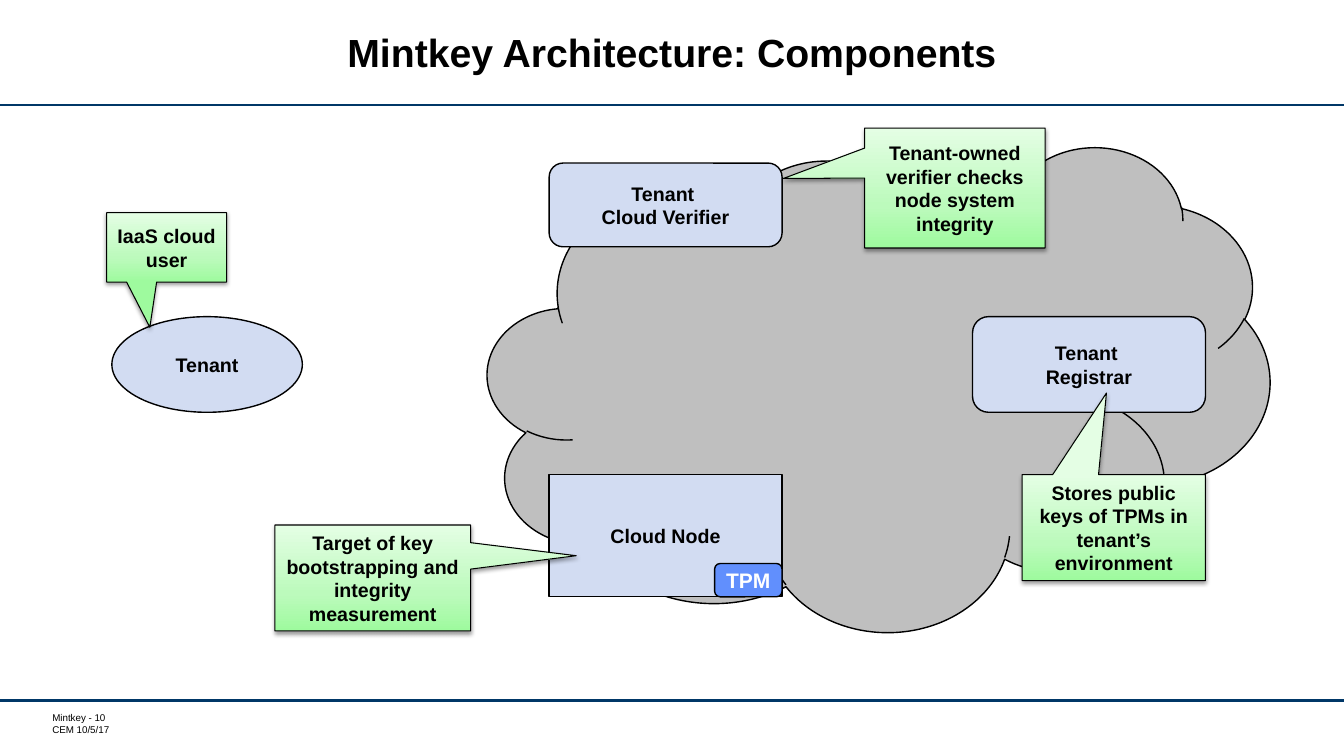
from dataclasses import dataclass

import lxml.etree
import pptx
import pptx.dml.color
import pptx.enum.shapes
import pptx.enum.text
import pptx.oxml
import pptx.oxml.ns
import pptx.shapes.autoshape
import pptx.slide
import pptx.text.text
import pptx.util
from copy import deepcopy
from pptx.util import Cm, Pt

SHAPE = pptx.enum.shapes.MSO_SHAPE
ALIGN = pptx.enum.text.PP_ALIGN
ANCHOR = pptx.enum.text.MSO_ANCHOR
FONT = "Arial"
COLORS = {
    "black": "000000",
    "white": "FFFFFF",
    "rule": "003767",
    "cloud": "BFBFBF",
    "component": "D2DCF2",
    "tpm": "618FFD",
}
CALLOUT_GRADIENT = ((0, "9EFA9E"), (0.35, "BCFABC"), (1, "E4FEE4"))
SLIDE_WIDTH, SLIDE_HEIGHT = 33.87, 19.05


@dataclass
class Component:
    kind: pptx.enum.shapes.MSO_SHAPE
    left: float
    top: float
    width: float
    height: float
    text: str = ""
    fill: str = "component"
    font_color: str = "black"
    font_size: float = 14
    side_inset: float = 0.25


@dataclass
class Callout:
    left: float
    top: float
    width: float
    height: float
    tip: tuple[float, float]
    text: str


COMPONENTS = [
    Component(SHAPE.CLOUD, 12.29, 3.68, 19.71, 12.22, fill="cloud"),
    Component(SHAPE.ROUNDED_RECTANGLE, 13.84, 4.11, 5.87, 2.11, "Tenant \vCloud Verifier"),
    Component(SHAPE.OVAL, 2.82, 7.98, 4.8, 2.41, "Tenant"),
    Component(SHAPE.ROUNDED_RECTANGLE, 24.51, 7.98, 5.87, 2.41, "Tenant \vRegistrar"),
    Component(SHAPE.RECTANGLE, 13.84, 11.96, 5.87, 3.07, "Cloud Node"),
    Component(SHAPE.ROUNDED_RECTANGLE, 18.01, 14.2, 1.7, 0.84, "TPM", "tpm", "white", 15, 0),
]
CALLOUTS = [
    Callout(25.76, 11.96, 4.62, 2.67, (-0.04, -1.27),
            "Stores public keys of TPMs in tenant’s environment"),
    Callout(6.93, 13.23, 4.93, 2.67, (1.04, -0.21),
            "Target of key bootstrapping and integrity measurement"),
    Callout(2.69, 5.36, 3.02, 1.75, (-0.14, 1.15), "IaaS cloud user"),
    Callout(21.79, 3.23, 4.55, 3.02, (-0.95, -0.08),
            "Tenant-owned verifier checks node system integrity"),
]


def rgb(name: str) -> pptx.dml.color.RGBColor:
    return pptx.dml.color.RGBColor.from_string(COLORS[name])


def write_text(frame: pptx.text.text.TextFrame, text: str, size: float, bold: bool = True,
               color: str = "black", align: pptx.enum.text.PP_ALIGN = ALIGN.CENTER) -> None:
    frame.text = text
    frame.word_wrap = True
    frame.auto_size = pptx.enum.text.MSO_AUTO_SIZE.NONE
    for paragraph in frame.paragraphs:
        paragraph.alignment = align
        for run in paragraph.runs:
            run.font.name = FONT
            run.font.size = Pt(size)
            run.font.bold = bold
            run.font.color.rgb = rgb(color)


def add_outlined_shape(slide: pptx.slide.Slide, kind: pptx.enum.shapes.MSO_SHAPE,
                       item: Component | Callout,
                       line_width: float) -> pptx.shapes.autoshape.Shape:
    shape = slide.shapes.add_shape(
        kind, Cm(item.left), Cm(item.top), Cm(item.width), Cm(item.height))
    shape.shadow.inherit = False
    shape.line.color.rgb = rgb("black")
    shape.line.width = Pt(line_width)
    shape.text_frame.vertical_anchor = ANCHOR.MIDDLE
    return shape


def add_component(slide: pptx.slide.Slide, component: Component) -> None:
    shape = add_outlined_shape(slide, component.kind, component, 1)
    shape.fill.solid()
    shape.fill.fore_color.rgb = rgb(component.fill)
    if component.text:
        frame = shape.text_frame
        frame.margin_left = frame.margin_right = Cm(component.side_inset)
        write_text(frame, component.text, component.font_size, color=component.font_color)


def fill_with_gradient(shape: pptx.shapes.autoshape.Shape) -> None:
    shape.fill.gradient()
    shape.fill.gradient_angle = 90
    stop_list = shape._element.spPr.find(".//" + pptx.oxml.ns.qn("a:gsLst"))
    stop_list.insert(1, deepcopy(stop_list[0]))
    for stop, (position, color) in zip(shape.fill.gradient_stops, CALLOUT_GRADIENT):
        stop.position = position
        stop.color.rgb = pptx.dml.color.RGBColor.from_string(color)


def add_drop_shadow(shape: pptx.shapes.autoshape.Shape) -> None:
    qn = pptx.oxml.ns.qn
    effects = shape._element.spPr.find(qn("a:effectLst"))
    shadow = lxml.etree.SubElement(effects, qn("a:outerShdw"), blurRad="40000",
                                   dist="20000", dir="5400000", rotWithShape="0")
    color = lxml.etree.SubElement(shadow, qn("a:srgbClr"), val=COLORS["black"])
    lxml.etree.SubElement(color, qn("a:alpha"), val="38000")


def add_callout(slide: pptx.slide.Slide, callout: Callout) -> None:
    shape = add_outlined_shape(slide, SHAPE.RECTANGULAR_CALLOUT, callout, 0.75)
    shape.adjustments[0], shape.adjustments[1] = callout.tip
    fill_with_gradient(shape)
    add_drop_shadow(shape)
    write_text(shape.text_frame, callout.text, 14)


def add_rule(slide: pptx.slide.Slide, top: float) -> None:
    """Draw a line across the full slide width."""
    rule = slide.shapes.add_connector(
        pptx.enum.shapes.MSO_CONNECTOR.STRAIGHT, 0, Cm(top), Cm(SLIDE_WIDTH), Cm(top))
    rule.line.color.rgb = rgb("rule")
    rule.line.width = Pt(1.75)
    lxml.etree.SubElement(rule._element.spPr, pptx.oxml.ns.qn("a:effectLst"))


def add_title(slide: pptx.slide.Slide, text: str) -> None:
    title = slide.shapes.title
    title.left, title.top, title.width, title.height = Cm(3.48), Cm(0.28), Cm(26.9), Cm(2.26)
    title.text_frame.vertical_anchor = ANCHOR.MIDDLE
    write_text(title.text_frame, text, 28)
    title.text_frame.paragraphs[0].line_spacing = Pt(28)


def add_footer(slide: pptx.slide.Slide, text: str) -> None:
    frame = slide.shapes.add_textbox(Cm(1.19), Cm(17.93), Cm(4.04), Cm(0.61)).text_frame
    frame.margin_left = Cm(0.13)
    frame.margin_top = frame.margin_right = frame.margin_bottom = 0
    write_text(frame, text, 7, bold=False, align=ALIGN.LEFT)


def main() -> None:
    presentation = pptx.Presentation()
    presentation.slide_width = Cm(SLIDE_WIDTH)
    presentation.slide_height = Cm(SLIDE_HEIGHT)
    slide = presentation.slides.add_slide(presentation.slide_layouts.get_by_name("Title Only"))
    for top in (2.64, 17.65):
        add_rule(slide, top)
    add_footer(slide, "Mintkey - 10\nCEM 10/5/17")
    add_title(slide, "Mintkey Architecture: Components")
    for component in COMPONENTS:
        add_component(slide, component)
    for callout in CALLOUTS:
        add_callout(slide, callout)
    presentation.save("out.pptx")


if __name__ == "__main__":
    main()
